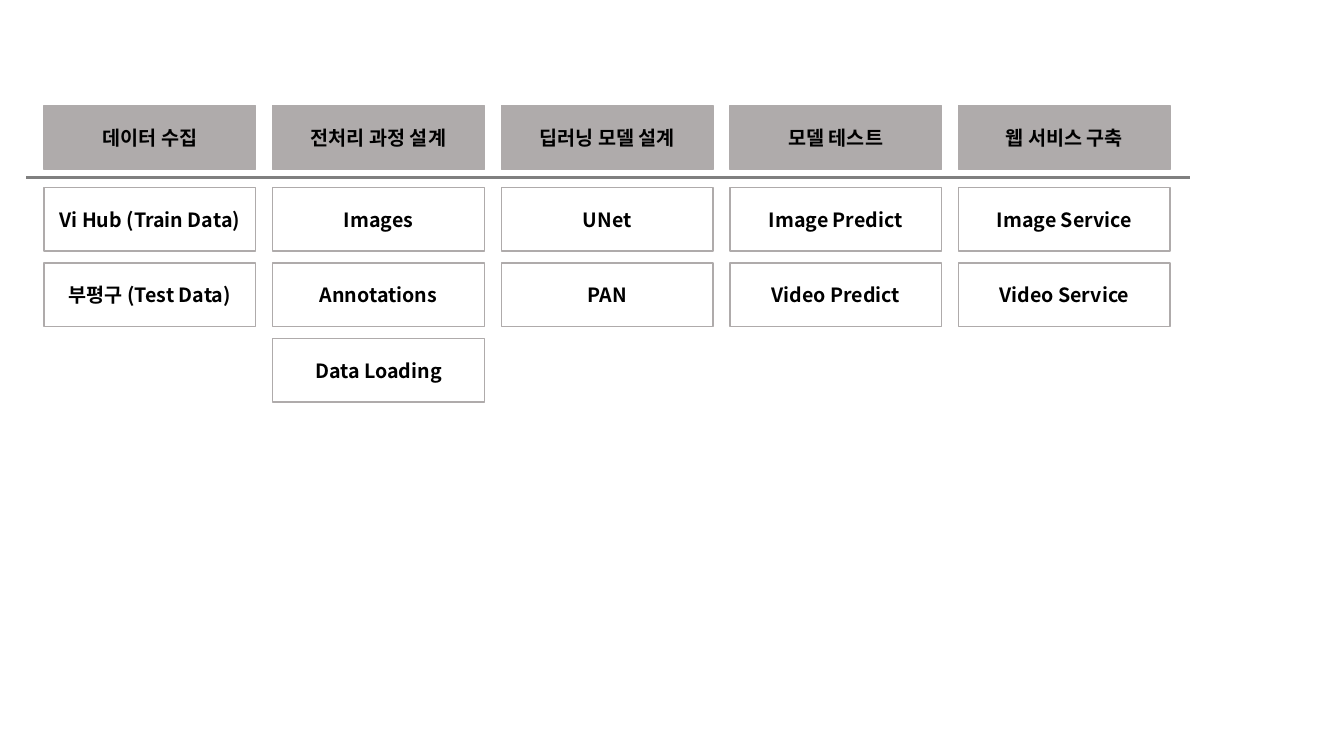
from lxml.etree import SubElement
from pptx import Presentation
from pptx.dml.color import RGBColor
from pptx.enum.shapes import MSO_CONNECTOR as Connector, MSO_SHAPE as Shape
from pptx.enum.text import MSO_ANCHOR as Anchor, PP_ALIGN as Align
from pptx.oxml.ns import qn
from pptx.util import Pt

STAGES = [
    ("데이터 수집", ["Vi Hub (Train Data)", "부평구 (Test Data)"]),
    ("전처리 과정 설계", ["Images", "Annotations", "Data Loading"]),
    ("딥러닝 모델 설계", ["UNet", "PAN"]),
    ("모델 테스트", ["Image Predict", "Video Predict"]),
    ("웹 서비스 구축", ["Image Service", "Video Service"]),
]

COLORS = {"stage": "AFABAB", "divider": "808080", "text": "000000"}
FONT = "Noto Sans CJK KR"
FONT_FORMAT = {"name": FONT, "size": Pt(14), "bold": True}
FRAME_FORMAT = {"word_wrap": True, "vertical_anchor": Anchor.MIDDLE}

SLIDE_WIDTH, SLIDE_HEIGHT = 960, 540
BOX_WIDTH, BOX_HEIGHT = 151.2, 45.4
LEFT, COLUMN_STEP = 31.5, 163.3
STAGE_TOP, TASK_TOP, ROW_STEP = 75.6, 133.9, 54
DIVIDER_LEFT, DIVIDER_RIGHT, DIVIDER_Y = 18.7, 850.3, 126.7


def color(key):
    return RGBColor.from_string(COLORS[key])


def apply(target, settings):
    for attribute, value in settings.items():
        setattr(target, attribute, value)


def add_box(slide, label, left, top, filled=False):
    box = slide.shapes.add_shape(
        Shape.RECTANGLE, Pt(left), Pt(top), Pt(BOX_WIDTH), Pt(BOX_HEIGHT))
    box.shadow.inherit = False
    if filled:
        box.fill.solid()
        box.fill.fore_color.rgb = color("stage")
    else:
        box.fill.background()
    box.line.color.rgb = color("stage")
    box.line.width = Pt(1)

    apply(box.text_frame, FRAME_FORMAT)
    paragraph = box.text_frame.paragraphs[0]
    paragraph.alignment = Align.CENTER
    run = paragraph.add_run()
    run.text = label
    apply(run.font, FONT_FORMAT)
    run.font.color.rgb = color("text")
    # Korean letters take the East Asian font
    SubElement(run._r.get_or_add_rPr(), qn("a:ea"), typeface=FONT)


def add_divider(slide):
    divider = slide.shapes.add_connector(
        Connector.STRAIGHT, Pt(DIVIDER_LEFT), Pt(DIVIDER_Y),
        Pt(DIVIDER_RIGHT), Pt(DIVIDER_Y))
    divider.line.color.rgb = color("divider")
    divider.line.width = Pt(2.25)
    SubElement(divider._element.spPr, qn("a:effectLst"))


def main():
    deck = Presentation()
    deck.slide_width, deck.slide_height = Pt(SLIDE_WIDTH), Pt(SLIDE_HEIGHT)
    slide = deck.slides.add_slide(deck.slide_layouts[6])

    for column, (stage, tasks) in enumerate(STAGES):
        left = LEFT + column * COLUMN_STEP
        add_box(slide, stage, left, STAGE_TOP, filled=True)
        for row, task in enumerate(tasks):
            add_box(slide, task, left, TASK_TOP + row * ROW_STEP)
    add_divider(slide)

    deck.save("out.pptx")


if __name__ == "__main__":
    main()
